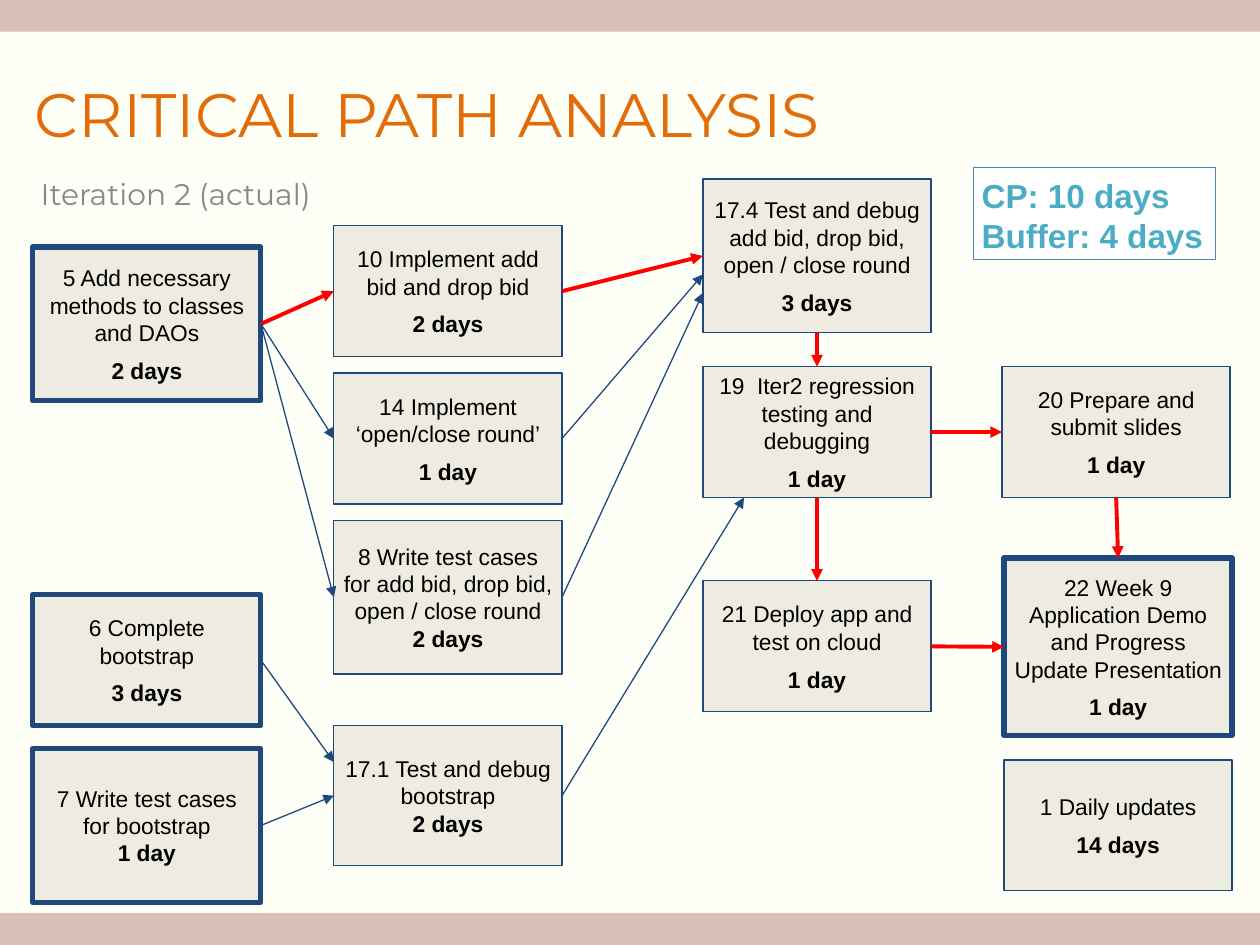
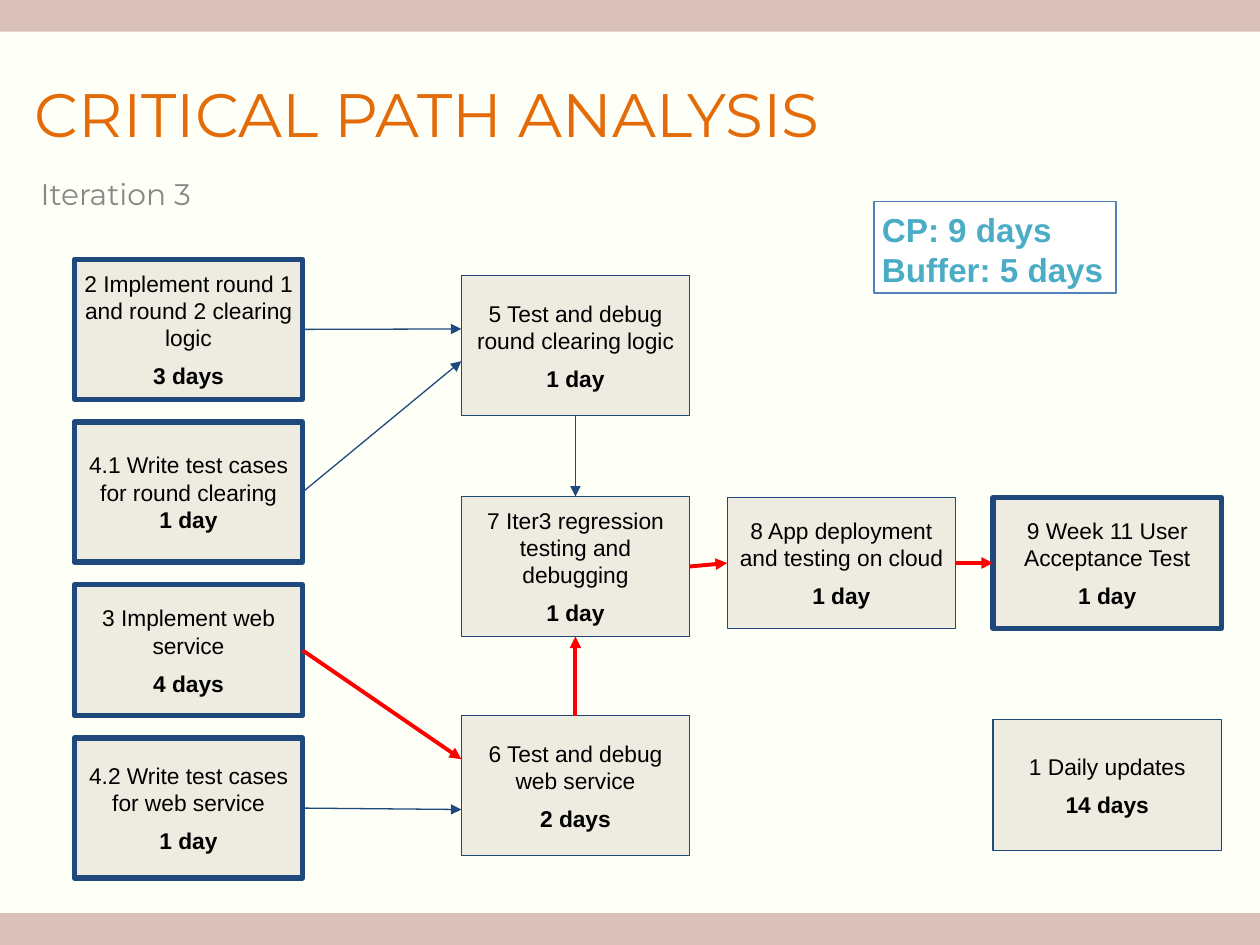
import pptx
import pptx.dml.color
import pptx.enum.shapes
import pptx.enum.text
import pptx.oxml
import pptx.oxml.ns
import pptx.util

Cm, Pt = pptx.util.Cm, pptx.util.Pt
ALIGN = pptx.enum.text.PP_ALIGN
ANCHOR = pptx.enum.text.MSO_ANCHOR

WIDTH, HEIGHT, BAND_HEIGHT = 25.4, 19.05, 0.64
PAPER, BAND, BOX, NAVY = "FEFFF7", "D9C1BA", "EEECE1", "1F497D"
RED, WHITE, BLUE = "FF0000", "FFFFFF", "4F81BD"

TITLE = {"size": 35, "name": "Montserrat", "color": "E36C09"}
SUBTITLE = {"size": 17, "name": "Montserrat", "color": "888888"}
TASK = {"size": 13, "name": "Arial", "color": "000000"}
DURATION = {**TASK, "bold": True}
SUMMARY = {"size": 19, "name": "Arial", "color": "4BACC6", "bold": True}

TASK_WIDTH = 4.6
SHORT, MEDIUM, TALL, TALLEST = 2.64, 2.82, 3.1, 3.58
THIN, THICK, CRITICAL = 0.75, 3, 2.25
SPACED, CLOSE = 6, 0

# Routes name the side left and the side entered.
SIDEWAYS, DOWN, UP, RISING = (("right", "left"), ("bottom", "top"),
                              ("top", "bottom"), ("right", "bottom"))

# Tasks: left, top, height, text, duration, outline, space around the duration
# Arrows: from task, to task, on the critical path, route, point along the side
ITERATIONS = [
    {
        "subtitle": "Iteration 2 (actual)",
        "summary": (19.63, 3.38, ["CP: 10 days", "Buffer: 4 days"]),
        "tasks": [
            (0.66, 4.98, TALL, "5 Add necessary methods to classes and DAOs", "2 days", THICK, SPACED),
            (0.66, 11.99, SHORT, "6 Complete bootstrap", "3 days", THICK, SPACED),
            (0.66, 15.09, TALL, "7 Write test cases for bootstrap", "1 day", THICK, CLOSE),
            (6.73, 4.55, SHORT, "10 Implement add bid and drop bid", "2 days", THIN, SPACED),
            (6.73, 7.52, SHORT, "14 Implement ‘open/close round’", "1 day", THIN, SPACED),
            (6.73, 10.49, TALL, "8 Write test cases for add bid, drop bid, open / close round",
             "2 days", THIN, CLOSE),
            (6.73, 14.63, MEDIUM, "17.1 Test and debug bootstrap", "2 days", THIN, CLOSE),
            (14.17, 3.61, TALL, "17.4 Test and debug add bid, drop bid, open / close round",
             "3 days", THIN, SPACED),
            (14.17, 7.39, SHORT, "19  Iter2 regression testing and debugging", "1 day", THIN, SPACED),
            (14.17, 11.71, SHORT, "21 Deploy app and test on cloud", "1 day", THIN, SPACED),
            (20.2, 7.39, SHORT, "20 Prepare and submit slides", "1 day", THIN, SPACED),
            (20.24, 11.25, TALLEST, "22 Week 9 Application Demo and Progress Update Presentation",
             "1 day", THICK, SPACED),
            (20.24, 15.32, SHORT, "1 Daily updates", "14 days", THIN, SPACED),
        ],
        "arrows": [
            ("5", "10", True, SIDEWAYS, 0.5),
            ("5", "14", False, SIDEWAYS, 0.5),
            ("5", "8", False, SIDEWAYS, 0.5),
            ("10", "17.4", True, SIDEWAYS, 0.5),
            ("14", "17.4", False, SIDEWAYS, 0.62),
            ("8", "17.4", False, SIDEWAYS, 0.74),
            ("6", "17.1", False, SIDEWAYS, 0.26),
            ("7", "17.1", False, SIDEWAYS, 0.5),
            ("17.1", "19", False, RISING, 0.18),
            ("17.4", "19", True, DOWN, 0.5),
            ("19", "20", True, SIDEWAYS, 0.5),
            ("19", "21", True, DOWN, 0.5),
            ("20", "22", True, DOWN, 0.5),
            ("21", "22", True, SIDEWAYS, 0.5),
        ],
    },
    {
        "subtitle": "Iteration 3",
        "summary": (17.62, 4.06, ["CP: 9 days", "Buffer: 5 days"]),
        "tasks": [
            (1.5, 5.23, MEDIUM, "2 Implement round 1 and round 2 clearing logic", "3 days", THICK, SPACED),
            (1.5, 8.51, MEDIUM, "4.1 Write test cases for round clearing", "1 day", THICK, CLOSE),
            (1.5, 11.79, SHORT, "3 Implement web service", "4 days", THICK, SPACED),
            (1.5, 14.88, MEDIUM, "4.2 Write test cases for web service", "1 day", THICK, SPACED),
            (9.3, 5.56, MEDIUM, "5 Test and debug round clearing logic", "1 day", THIN, SPACED),
            (9.3, 10.01, MEDIUM, "7 Iter3 regression testing and debugging", "1 day", THIN, SPACED),
            (9.3, 14.43, MEDIUM, "6 Test and debug web service", "2 days", THIN, SPACED),
            (14.66, 10.03, SHORT, "8 App deployment and testing on cloud", "1 day", THIN, SPACED),
            (20.02, 10.03, SHORT, "9 Week 11 User Acceptance Test", "1 day", THICK, SPACED),
            (20.02, 14.51, SHORT, "1 Daily updates", "14 days", THIN, SPACED),
        ],
        "arrows": [
            ("2", "5", False, SIDEWAYS, 0.38),
            ("4.1", "5", False, SIDEWAYS, 0.61),
            ("5", "7", False, DOWN, 0.5),
            ("3", "6", True, SIDEWAYS, 0.31),
            ("4.2", "6", False, SIDEWAYS, 0.67),
            ("6", "7", True, UP, 0.5),
            ("7", "8", True, SIDEWAYS, 0.5),
            ("8", "9", True, SIDEWAYS, 0.5),
        ],
    },
]


def rgb(color):
    return pptx.dml.color.RGBColor.from_string(color)


def set_attributes(target, values):
    for name, value in values.items():
        setattr(target, name, value)


def write(shape, lines, inset=0.16, anchor=ANCHOR.TOP, align=ALIGN.LEFT):
    """Fill a shape with lines, each a text, a text style and the space around it."""
    frame = shape.text_frame
    set_attributes(frame, {"word_wrap": True, "vertical_anchor": anchor})
    for side in ("left", "right", "top", "bottom"):
        setattr(frame, f"margin_{side}", Cm(inset))
    for number, (text, style, space) in enumerate(lines):
        paragraph = frame.add_paragraph() if number else frame.paragraphs[0]
        set_attributes(paragraph, {"alignment": align, "space_before": Pt(space),
                                   "space_after": Pt(space)})
        run = paragraph.add_run()
        run.text = text
        set_attributes(run.font, {"name": style["name"], "size": Pt(style["size"]),
                                  "bold": style.get("bold", False)})
        run.font.color.rgb = rgb(style["color"])


def add_rectangle(slide, box, fill, line=None, line_width=THIN):
    shape = slide.shapes.add_shape(pptx.enum.shapes.MSO_SHAPE.RECTANGLE, *map(Cm, box))
    shape.shadow.inherit = False
    shape.fill.solid()
    shape.fill.fore_color.rgb = rgb(fill)
    if line:
        shape.line.color.rgb = rgb(line)
        shape.line.width = Pt(line_width)
    else:
        shape.line.fill.background()
    return shape


def point_on(box, side, share=0.5):
    """Return the point that lies a share of the way along one side of a box."""
    left, top, width, height = box
    return {
        "left": (left, top + share * height),
        "right": (left + width, top + share * height),
        "top": (left + share * width, top),
        "bottom": (left + share * width, top + height),
    }[side]


def add_arrow(slide, start, end, critical):
    connector = slide.shapes.add_connector(
        pptx.enum.shapes.MSO_CONNECTOR.STRAIGHT, *map(Cm, start + end))
    connector.line.color.rgb = rgb(RED if critical else NAVY)
    connector.line.width = Pt(CRITICAL if critical else THIN)
    namespace = pptx.oxml.ns.nsdecls("a")
    connector.line._get_or_add_ln().append(
        pptx.oxml.parse_xml(f'<a:tailEnd {namespace} type="triangle"/>'))
    connector._element.spPr.append(pptx.oxml.parse_xml(f"<a:effectLst {namespace}/>"))


def add_frame(slide, subtitle):
    """Add what every slide shares: paper, bands, title and subtitle."""
    slide.background.fill.solid()
    slide.background.fill.fore_color.rgb = rgb(PAPER)
    for top in (0, HEIGHT - BAND_HEIGHT):
        add_rectangle(slide, (0, top, WIDTH, BAND_HEIGHT), BAND)
    title_box = slide.shapes.add_textbox(Cm(0.68), Cm(1.52), Cm(19.5), Cm(1.85))
    write(title_box, [("CRITICAL PATH ANALYSIS", TITLE, 0)], inset=0.02)
    subtitle_box = slide.shapes.add_textbox(Cm(0.66), Cm(3.38), Cm(13.5), Cm(1.52))
    write(subtitle_box, [(subtitle, SUBTITLE, 0)])


def add_iteration(presentation, iteration):
    slide = presentation.slides.add_slide(presentation.slide_layouts[6])
    add_frame(slide, iteration["subtitle"])
    boxes = {}
    for left, top, height, text, duration, outline, space in iteration["tasks"]:
        box = (left, top, TASK_WIDTH, height)
        boxes[text.split()[0]] = box
        write(add_rectangle(slide, box, BOX, NAVY, outline),
              [(text, TASK, 0), (duration, DURATION, space)],
              anchor=ANCHOR.MIDDLE, align=ALIGN.CENTER)
    for source, target, critical, (leaving, entering), share in iteration["arrows"]:
        add_arrow(slide, point_on(boxes[source], leaving),
                  point_on(boxes[target], entering, share), critical)
    left, top, lines = iteration["summary"]
    write(add_rectangle(slide, (left, top, 4.88, 1.85), WHITE, BLUE),
          [(line, SUMMARY, 0) for line in lines])


def main():
    presentation = pptx.Presentation()
    set_attributes(presentation, {"slide_width": Cm(WIDTH), "slide_height": Cm(HEIGHT)})
    for iteration in ITERATIONS:
        add_iteration(presentation, iteration)
    presentation.save("out.pptx")


if __name__ == "__main__":
    main()
